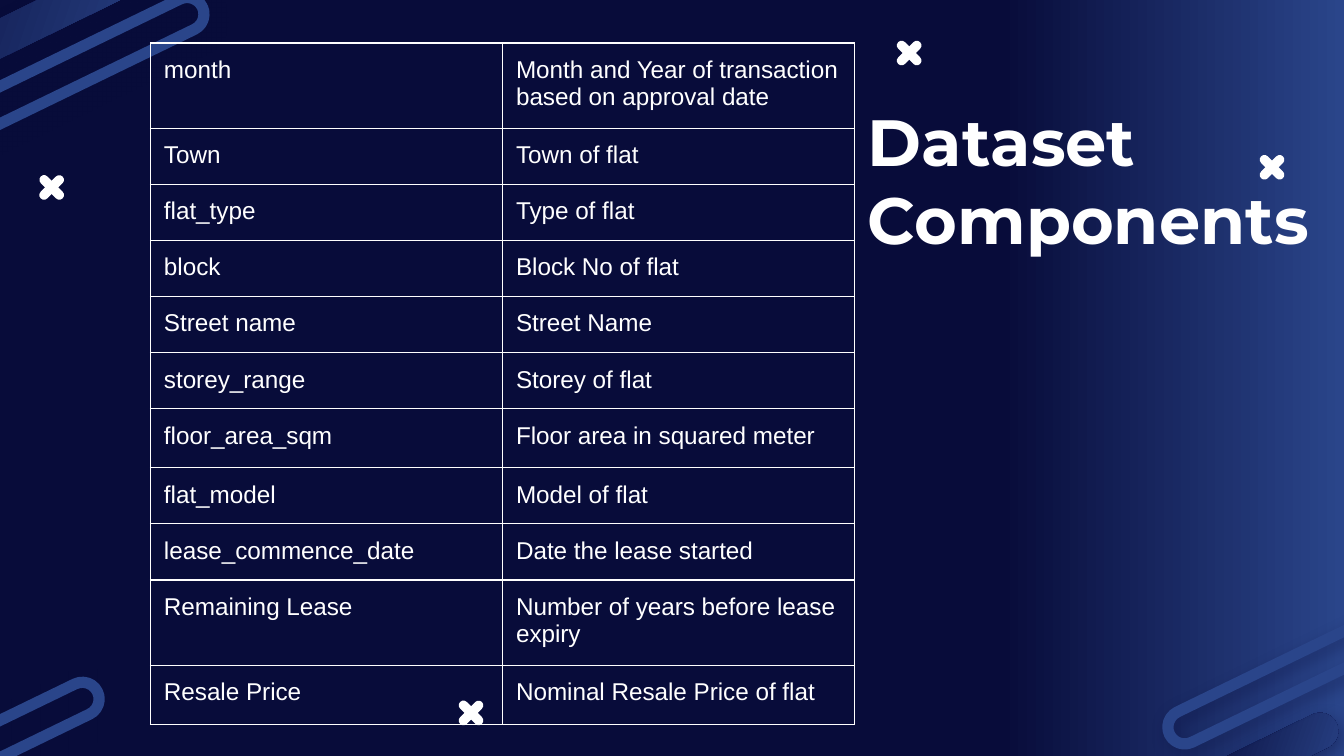
"""Build the dataset components slide with its field table and decorations."""

from dataclasses import dataclass

from lxml.etree import SubElement
from pptx import Presentation
from pptx.dml.color import RGBColor
from pptx.enum.shapes import MSO_AUTO_SHAPE_TYPE as ShapeType
from pptx.enum.text import MSO_ANCHOR as Anchor
from pptx.oxml.ns import qn
from pptx.shapes.autoshape import Shape
from pptx.slide import Slide
from pptx.table import _Cell as Cell
from pptx.text.text import TextFrame
from pptx.util import Inches, Pt


@dataclass(frozen=True)
class Theme:
    navy: str = "080C3A"
    blue: str = "2A458A"
    white: str = "FFFFFF"
    title_font: str = "Montserrat"
    body_font: str = "Arial"
    title_size: float = 35
    body_size: float = 13
    inset: float = 0.1
    outline_width: float = 6
    border_width: float = 0.75


@dataclass(frozen=True)
class Capsule:
    left: float
    top: float
    width: float
    height: float
    rotation: float
    outlined: bool


@dataclass(frozen=True)
class Cross:
    left: float
    top: float


@dataclass(frozen=True)
class Field:
    name: str
    description: str
    height: float


THEME = Theme()
CAPSULES = [
    Capsule(-1.11, 0.1, 2.43, 0.27, 334, False),
    Capsule(-0.86, 0.47, 2.49, 0.25, 334.1, True),
    Capsule(8.88, 5.49, 1.12, 0.27, 334, False),
    Capsule(-0.31, 5.26, 1.09, 0.25, 334.1, True),
    Capsule(8.56, 4.72, 2.84, 0.25, 334.1, True),
]
CROSSES = [Cross(9.35, 1.21), Cross(6.65, 0.36), Cross(0.27, 1.36), Cross(3.39, 5.27)]
FIELDS = [
    Field("month", "Month and Year of transaction based on approval date", 0.54),
    Field("Town", "Town of flat", 0.33),
    Field("flat_type", "Type of flat", 0.36),
    Field("block", "Block No of flat", 0.35),
    Field("Street name", "Street Name", 0.33),
    Field("storey_range", "Storey of flat", 0.36),
    Field("floor_area_sqm", "Floor area in squared meter", 0.44),
    Field("flat_model", "Model of flat", 0.36),
    Field("lease_commence_date", "Date the lease started", 0.38),
    Field("Remaining Lease", "Number of years before lease expiry", 0.44),
    Field("Resale Price", "Nominal Resale Price of flat", 0.44),
]


def color(value: str) -> RGBColor:
    return RGBColor.from_string(value)


def add_shape(
    slide: Slide, kind: ShapeType, left: float, top: float,
    width: float, height: float, rotation: float = 0,
) -> Shape:
    shape = slide.shapes.add_shape(
        kind, Inches(left), Inches(top), Inches(width), Inches(height)
    )
    shape.rotation = rotation
    shape.shadow.inherit = False
    shape.line.fill.background()
    if kind == ShapeType.ROUNDED_RECTANGLE:
        shape.adjustments[0] = 0.5
    return shape


def fill_gradient(shape: Shape, clockwise_angle: float) -> None:
    shape.fill.gradient()
    shape.fill.gradient_angle = -clockwise_angle % 360
    for stop, value in zip(shape.fill.gradient_stops, (THEME.navy, THEME.blue)):
        stop.color.rgb = color(value)


def add_shadow(shape: Shape) -> None:
    effects = shape._element.spPr.find(qn("a:effectLst"))
    shadow = SubElement(
        effects, qn("a:outerShdw"), blurRad=str(Pt(9)), dist=str(Pt(3.8)),
        dir=str(53 * 60000), algn="bl", rotWithShape="0",
    )
    tint = SubElement(shadow, qn("a:srgbClr"), val=THEME.navy)
    SubElement(tint, qn("a:alpha"), val="36000")


def draw_capsule(slide: Slide, capsule: Capsule) -> None:
    shape = add_shape(
        slide, ShapeType.ROUNDED_RECTANGLE, capsule.left, capsule.top,
        capsule.width, capsule.height, capsule.rotation,
    )
    if capsule.outlined:
        shape.fill.background()
        shape.line.color.rgb = color(THEME.blue)
        shape.line.width = Pt(THEME.outline_width)
    else:
        fill_gradient(shape, 45)
    add_shadow(shape)


def draw_cross(slide: Slide, cross: Cross) -> None:
    for rotation in (45, 315):
        bar = add_shape(
            slide, ShapeType.ROUNDED_RECTANGLE, cross.left, cross.top,
            0.23, 0.07, rotation,
        )
        bar.fill.solid()
        bar.fill.fore_color.rgb = color(THEME.white)


def write_text(
    frame: TextFrame, text: str, *, font: str, size: float, bold: bool = False
) -> None:
    frame.word_wrap = True
    paragraph = frame.paragraphs[0]
    paragraph.line_spacing = 1.0
    paragraph.space_before = paragraph.space_after = Pt(0)
    run = paragraph.add_run()
    run.text = text
    run.font.size = Pt(size)
    run.font.bold = bold
    run.font.color.rgb = color(THEME.white)
    run.font.name = font
    for script in ("ea", "cs"):
        SubElement(run._r.rPr, qn(f"a:{script}"), typeface=font)
    SubElement(paragraph._p, qn("a:endParaRPr"), sz=str(size * 100))


def set_insets(target: TextFrame | Cell) -> None:
    inset = Inches(THEME.inset)
    target.margin_left = target.margin_right = inset
    target.margin_top = target.margin_bottom = inset
    target.vertical_anchor = Anchor.TOP


def add_borders(cell: Cell) -> None:
    properties = cell._tc.get_or_add_tcPr()
    for position, side in enumerate(("lnL", "lnR", "lnT", "lnB")):
        line = SubElement(
            properties, qn(f"a:{side}"), w=str(Pt(THEME.border_width))
        )
        fill = SubElement(line, qn("a:solidFill"))
        SubElement(fill, qn("a:srgbClr"), val=THEME.white)
        properties.insert(position, line)


def draw_table(slide: Slide, fields: list[Field]) -> None:
    frame = slide.shapes.add_table(
        len(fields), 2, Inches(1.12), Inches(0.32), Inches(5.24), Inches(3.28)
    )
    table = frame.table
    table.first_row = table.horz_banding = False
    for row, field in zip(table.rows, fields):
        row.height = Inches(field.height)
        for cell, text in zip(row.cells, (field.name, field.description)):
            cell.fill.background()
            set_insets(cell)
            add_borders(cell)
            write_text(
                cell.text_frame, text, font=THEME.body_font, size=THEME.body_size
            )
    frame.width = frame.height = Inches(3.28)


def draw_title(slide: Slide, text: str) -> None:
    box = slide.shapes.add_textbox(
        Inches(6.36), Inches(0.65), Inches(3.69), Inches(1.35)
    )
    set_insets(box.text_frame)
    write_text(
        box.text_frame, text, font=THEME.title_font, size=THEME.title_size, bold=True
    )


def main() -> None:
    presentation = Presentation()
    presentation.slide_width = Inches(10)
    presentation.slide_height = Inches(10) * 9 // 16
    slide = presentation.slides.add_slide(presentation.slide_layouts[6])
    slide.background.fill.solid()
    slide.background.fill.fore_color.rgb = color(THEME.navy)
    panel = add_shape(slide, ShapeType.RECTANGLE, 7.45, 0, 2.55, 5.63)
    fill_gradient(panel, 0)
    for capsule in CAPSULES:
        draw_capsule(slide, capsule)
    for cross in CROSSES:
        draw_cross(slide, cross)
    draw_title(slide, "Dataset Components")
    draw_table(slide, FIELDS)
    presentation.save("out.pptx")


if __name__ == "__main__":
    main()
